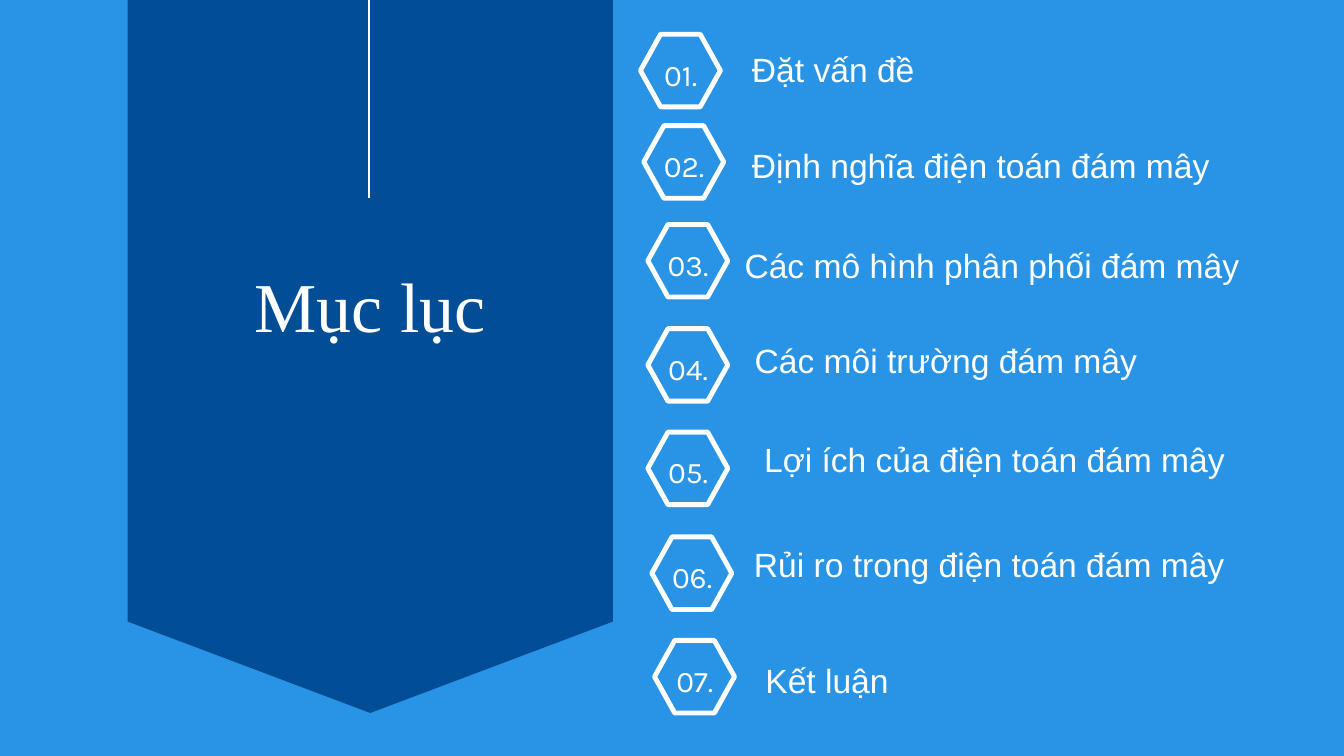
"""Builds the table-of-contents slide with a banner and seven numbered topics."""
from dataclasses import dataclass

from lxml import etree
from pptx import Presentation
from pptx.dml.color import RGBColor
from pptx.enum.shapes import MSO_CONNECTOR
from pptx.enum.text import MSO_ANCHOR, MSO_AUTO_SIZE, PP_ALIGN
from pptx.oxml.ns import qn
from pptx.shapes.autoshape import Shape
from pptx.shapes.shapetree import SlideShapes
from pptx.util import Pt

PX = 9144
SKY = RGBColor(0x29, 0x94, 0xE5)
NAVY = RGBColor(0x01, 0x4E, 0x97)
WHITE = RGBColor(0xFF, 0xFF, 0xFF)
STRAIGHT = MSO_CONNECTOR.STRAIGHT
TOP, MIDDLE = MSO_ANCHOR.TOP, MSO_ANCHOR.MIDDLE
LEFT, CENTER = PP_ALIGN.LEFT, PP_ALIGN.CENTER
GROW, FIXED = MSO_AUTO_SIZE.SHAPE_TO_FIT_TEXT, MSO_AUTO_SIZE.NONE

HEX_WIDTH, HEX_HEIGHT, HEX_INSET = 119, 108, 30
BADGE_WIDTH, BADGE_HEIGHT = 86, 110
TOPIC_HEIGHT = 73


@dataclass(frozen=True)
class Topic:
    """One entry: its title, hexagon corner and title box, in px."""
    title: str
    hex_left: int
    hex_top: int
    left: int
    top: int
    width: int


@dataclass(frozen=True)
class TextStyle:
    """Typeface and layout of a text box."""
    font: str
    size: int
    align: PP_ALIGN = LEFT
    anchor: MSO_ANCHOR = TOP
    inset: int = 0
    auto_size: MSO_AUTO_SIZE = GROW


HEADING = TextStyle("Times New Roman", 75, align=CENTER)
NUMBER = TextStyle("Karla", 32, CENTER, MIDDLE, 6, FIXED)
TOPIC = TextStyle("Arial", 36)

TOPICS = [
    Topic("Đặt vấn đề", 953, 51, 1119, 61, 691),
    Topic("Định nghĩa điện toán đám mây", 958, 187, 1119, 204, 691),
    Topic("Các mô hình phân phối đám mây", 964, 334, 1108, 352, 756),
    Topic("Các môi trường đám mây", 964, 489, 1123, 494, 725),
    Topic("Lợi ích của điện toán đám mây", 964, 643, 1137, 641, 725),
    Topic("Rủi ro trong điện toán đám mây", 970, 799, 1122, 798, 725),
    Topic("Kết luận", 974, 953, 1139, 970, 725),
]


def add_polygon(shapes: SlideShapes, points: list[tuple[int, int]]) -> Shape:
    """Draw a closed outline through the given px points."""
    builder = shapes.build_freeform(*points[0], scale=PX)
    builder.add_line_segments(points[1:], close=True)
    polygon = builder.convert_to_shape()
    polygon.shadow.inherit = False
    return polygon


def add_text(shapes: SlideShapes, text: str, left: int, top: int,
             width: int, height: int, style: TextStyle) -> None:
    """Place one white line of text in a px box."""
    box = shapes.add_textbox(left * PX, top * PX, width * PX, height * PX)
    frame = box.text_frame
    frame.text = text
    frame.word_wrap = True
    frame.auto_size = style.auto_size
    frame.vertical_anchor = style.anchor
    frame.margin_left = frame.margin_right = style.inset * PX
    frame.margin_top = frame.margin_bottom = style.inset * PX
    paragraph = frame.paragraphs[0]
    paragraph.alignment = style.align
    paragraph.line_spacing = 1.2
    font = paragraph.runs[0].font
    font.name = style.font
    font.size = Pt(style.size)
    font.color.rgb = WHITE


def add_banner(shapes: SlideShapes) -> None:
    """Draw the pointed banner with its heading and hanging line."""
    banner = add_polygon(
        shapes, [(912, 0), (912, 925), (551, 1061), (190, 925), (190, 0)])
    banner.fill.solid()
    banner.fill.fore_color.rgb = NAVY
    banner.line.fill.background()
    add_text(shapes, "Mục lục", 205, 366, 691, 151, HEADING)
    cord = shapes.add_connector(STRAIGHT, 549 * PX, -145 * PX, 549 * PX, 295 * PX)
    cord.line.color.rgb = WHITE
    cord.line.width = Pt(3)
    etree.SubElement(cord.element.spPr, qn("a:effectLst"))


def add_topic(shapes: SlideShapes, number: int, topic: Topic) -> None:
    """Draw a numbered hexagon and the topic title beside it."""
    left, top = topic.hex_left, topic.hex_top
    right, bottom = left + HEX_WIDTH, top + HEX_HEIGHT
    middle = top + HEX_HEIGHT // 2
    hexagon = add_polygon(shapes, [
        (right, middle), (right - HEX_INSET, bottom), (left + HEX_INSET, bottom),
        (left, middle), (left + HEX_INSET, top), (right - HEX_INSET, top)])
    hexagon.fill.background()
    hexagon.line.color.rgb = WHITE
    hexagon.line.width = Pt(5.25)
    add_text(shapes, f"{number:02}.", left + (HEX_WIDTH - BADGE_WIDTH) // 2 + 1,
             top - 1, BADGE_WIDTH, BADGE_HEIGHT, NUMBER)
    add_text(shapes, topic.title, topic.left, topic.top,
             topic.width, TOPIC_HEIGHT, TOPIC)


def main() -> None:
    """Build and save the slide."""
    deck = Presentation()
    deck.slide_width, deck.slide_height = 2000 * PX, 1125 * PX
    slide = deck.slides.add_slide(deck.slide_layouts[6])
    slide.background.fill.solid()
    slide.background.fill.fore_color.rgb = SKY
    add_banner(slide.shapes)
    for number, topic in enumerate(TOPICS, start=1):
        add_topic(slide.shapes, number, topic)
    deck.save("out.pptx")


if __name__ == "__main__":
    main()
